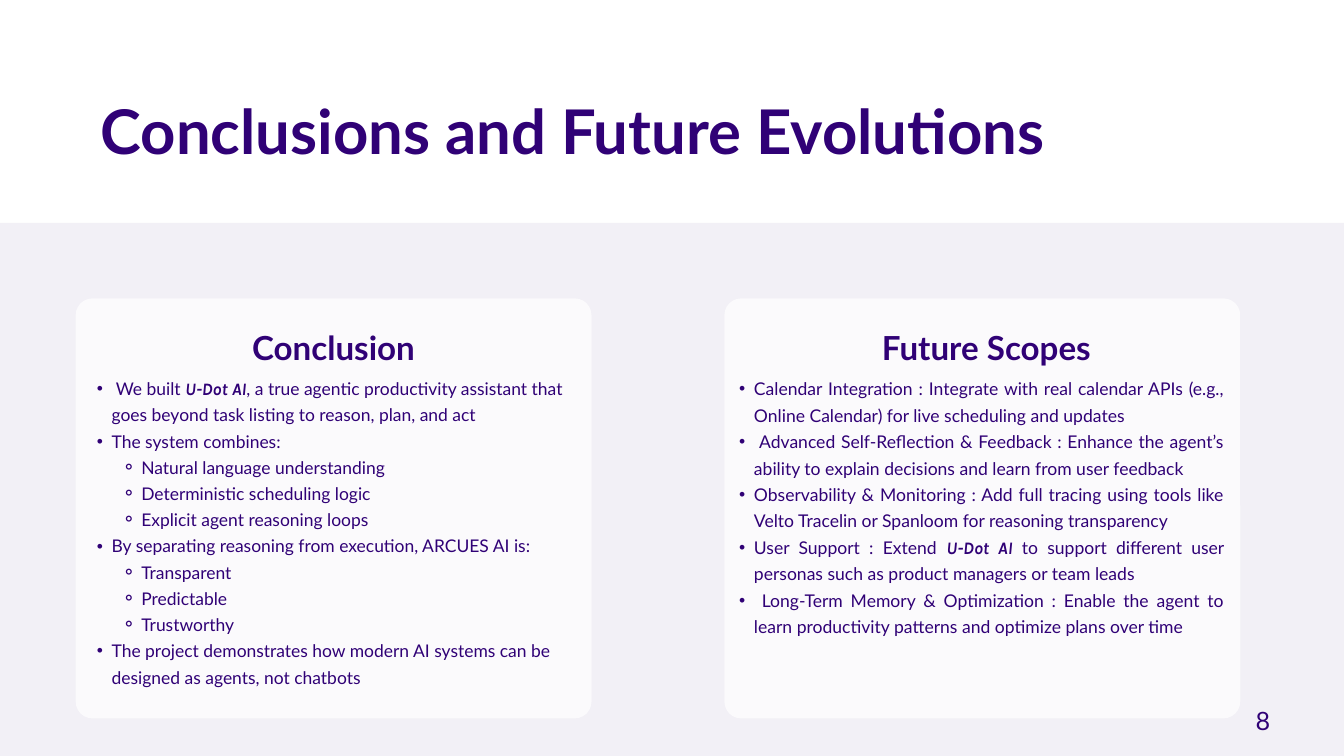
from lxml import etree
from pptx import Presentation
from pptx.dml.color import RGBColor
from pptx.enum.shapes import MSO_SHAPE
from pptx.enum.text import MSO_ANCHOR, PP_ALIGN
from pptx.oxml.ns import qn
from pptx.util import Cm, Pt

LEFT, CENTER = PP_ALIGN.LEFT, PP_ALIGN.CENTER
RIGHT, JUSTIFY = PP_ALIGN.RIGHT, PP_ALIGN.JUSTIFY
RECTANGLE, ROUNDED = MSO_SHAPE.RECTANGLE, MSO_SHAPE.ROUNDED_RECTANGLE
TOP, MIDDLE = MSO_ANCHOR.TOP, MSO_ANCHOR.MIDDLE

COLORS = {"purple": "300176", "white": "FFFFFF"}
PRODUCT = "U-Dot AI"
CARD_TOP, CARD_WIDTH, CARD_HEIGHT = 11.28, 19.5, 15.88
# Bullet character, left margin and hanging indent in cm for each level
BULLETS = {1: ("•", 1.12, 0.56), 2: ("⚬", 2.24, 0.74)}

# Heading: left, width; body: left, width, alignment, size, line spacing
CARDS = [
    {
        "left": 2.86,
        "heading": ("Conclusion", 9.17, 6.88),
        "body": (3.1, 19.28, LEFT, 18.7, 28.1),
        "items": [
            (1, " We built U-Dot AI, a true agentic productivity assistant that "
                "goes beyond task listing to reason, plan, and act"),
            (1, "The system combines:"),
            (2, "Natural language understanding"),
            (2, "Deterministic scheduling logic"),
            (2, "Explicit agent reasoning loops"),
            (1, "By separating reasoning from execution, ARCUES AI is:"),
            (2, "Transparent"),
            (2, "Predictable"),
            (2, "Trustworthy"),
            (1, "The project demonstrates how modern AI systems can be "
                "designed as agents, not chatbots"),
        ],
    },
    {
        "left": 27.38,
        "heading": ("Future Scopes", 32.46, 9.65),
        "body": (27.38, 18.9, JUSTIFY, 18.8, 28.3),
        "items": [
            (1, "Calendar Integration : Integrate with real calendar APIs (e.g., "
                "Online Calendar) for live scheduling and updates"),
            (1, " Advanced Self-Reflection & Feedback : Enhance the agent’s "
                "ability to explain decisions and learn from user feedback"),
            (1, "Observability & Monitoring : Add full tracing using tools like "
                "Velto Tracelin or Spanloom for reasoning transparency"),
            (1, "User Support : Extend U-Dot AI to support different user "
                "personas such as product managers or team leads"),
            (1, " Long-Term Memory & Optimization : Enable the agent to "
                "learn productivity patterns and optimize plans over time"),
        ],
    },
]

presentation = Presentation()
presentation.slide_width, presentation.slide_height = Cm(50.8), Cm(28.58)
slide = presentation.slides.add_slide(presentation.slide_layouts[6])


def add_panel(kind, left, top, width, height, color, opacity):
    shape = slide.shapes.add_shape(kind, Cm(left), Cm(top), Cm(width), Cm(height))
    shape.shadow.inherit = False
    shape.line.fill.background()
    shape.fill.solid()
    shape.fill.fore_color.rgb = RGBColor.from_string(COLORS[color])
    color_element = shape.fill._xPr.find(".//" + qn("a:srgbClr"))
    etree.SubElement(color_element, qn("a:alpha"), val=str(opacity * 1000))
    return shape


def add_text(items, left, top, width, height, alignment, size, spacing,
             bold=False, anchor=TOP):
    box = slide.shapes.add_textbox(Cm(left), Cm(top), Cm(width), Cm(height))
    text_frame = box.text_frame
    text_frame.word_wrap = True
    text_frame.vertical_anchor = anchor
    text_frame.margin_left = text_frame.margin_right = 0
    text_frame.margin_top = text_frame.margin_bottom = 0
    for index, (level, text) in enumerate(items):
        paragraph = text_frame.paragraphs[0] if index == 0 else text_frame.add_paragraph()
        paragraph.alignment = alignment
        paragraph.line_spacing = Pt(spacing)
        if level:
            paragraph.level = level
            character, margin, hanging = BULLETS[level]
            properties = paragraph._p.get_or_add_pPr()
            properties.set("marL", str(Cm(margin)))
            properties.set("indent", str(-Cm(hanging)))
            etree.SubElement(properties, qn("a:buFont"), typeface="Arial")
            etree.SubElement(properties, qn("a:buChar"), char=character)
        # The product name has its own typeface
        for part in filter(None, text.partition(PRODUCT)):
            run = paragraph.add_run()
            run.text = part
            is_product = part == PRODUCT
            run.font.name = "Karla" if is_product else "Lato"
            run.font.size = Pt(size)
            run.font.bold = bold or is_product
            run.font.italic = is_product
            run.font.color.rgb = RGBColor.from_string(COLORS["purple"])


# Title
add_text([(0, "Conclusions and Future Evolutions")], 3.81, 2.13, 45.72, 5.82,
         LEFT, 66, 71.3, bold=True, anchor=MIDDLE)

# Tinted lower band
add_panel(RECTANGLE, 0, 8.43, 50.8, 20.15, "purple", 6)

# Cards
for card in CARDS:
    panel = add_panel(ROUNDED, card["left"], CARD_TOP, CARD_WIDTH, CARD_HEIGHT, "white", 70)
    panel.adjustments[0] = 0.04
    heading, left, width = card["heading"]
    add_text([(0, heading)], left, 12.14, width, 1.68, CENTER, 35.5, 49.7, bold=True)
    left, width, alignment, size, spacing = card["body"]
    add_text(card["items"], left, 14.1, width, 12.7, alignment, size, spacing)

# Page number
add_text([(0, "8")], 36.83, 26.67, 11.18, 1.19, RIGHT, 27, 32.4)

presentation.save("out.pptx")
